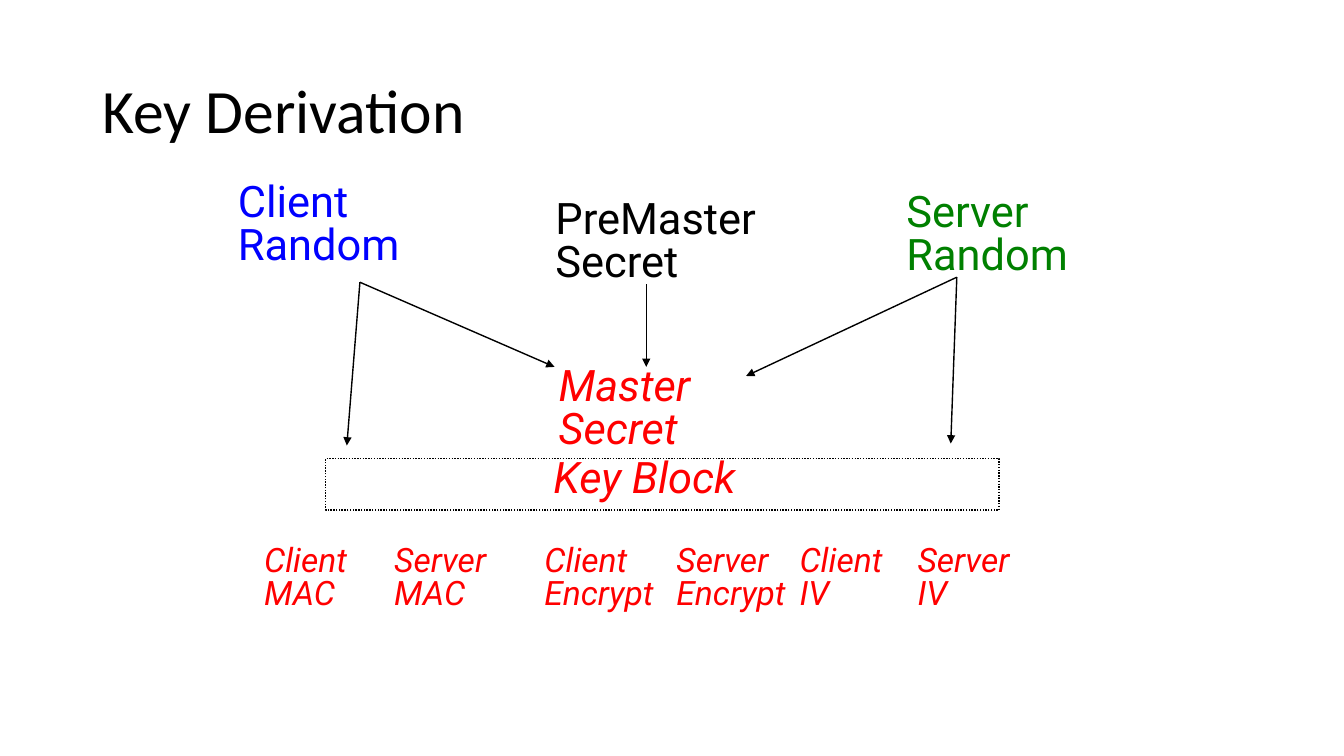
"""Build a slide showing how session keys derive from the shared secrets."""
import pptx
import pptx.dml.color
import pptx.enum.dml
import pptx.enum.shapes
import pptx.enum.text
import pptx.oxml.ns
import pptx.util
from lxml import etree

PX = 9144
COLORS = {"black": "000000", "client": "0000FF", "server": "008000", "derived": "FF0000"}

TITLE = ("Key Derivation", (92, 40, 1150, 145))
SECRETS = [
    (["PreMaster", "Secret"], (551, 198, 213, 88), "black"),
    (["Client", "Random"], (236, 181, 164, 88), "client"),
    (["Server", "Random"], (899, 191, 164, 88), "server"),
    (["Master", "Secret"], (554, 364, 145, 88), "derived"),
]
KEY_BLOCK = (323, 455, 668, 51)
KEY_BLOCK_LABEL = (["Key Block"], (323, 455, 667, 37), "derived")
KEY_BLOCK_INDENT = 226
KEYS_TOP, KEYS_HEIGHT = 541, 68
KEYS = [
    (["Client", "MAC"], 262, 96),
    (["Server", "MAC"], 391, 99),
    (["Client", "Encrypt"], 540, 114),
    (["Server", "Encrypt"], 671, 114),
    (["Client", "IV"], 793, 86),
    (["Server", "IV"], 910, 99),
]
ARROWS = {
    (641, 282): [(641, 364)],
    (357, 280): [(550, 364), (344, 442)],
    (949, 275): [(740, 373), (943, 440)],
}


def color(name):
    return pptx.dml.color.RGBColor.from_string(COLORS[name])


def scaled(lengths):
    return [length * PX for length in lengths]


def add_text(page, lines, place, size, ink, font="Roboto", spacing=0.83, indent=0):
    box = page.shapes.add_textbox(*scaled(place))
    frame = box.text_frame
    frame.word_wrap = True
    frame.margin_left = indent * PX
    frame.margin_right = frame.margin_top = frame.margin_bottom = 0
    frame.text = "\n".join(lines)
    for para in frame.paragraphs:
        para.line_spacing = spacing
        para.font.name = font
        para.font.size = pptx.util.Pt(size)
        para.font.italic = ink == "derived"
        para.font.color.rgb = color(ink)
    return frame


def add_arrow(page, start, end):
    arrow = page.shapes.add_connector(
        pptx.enum.shapes.MSO_CONNECTOR.STRAIGHT, *scaled(start + end))
    arrow.line.color.rgb = color("black")
    arrow.line.width = pptx.util.Pt(1)
    etree.SubElement(arrow.line._get_or_add_ln(),
                     pptx.oxml.ns.qn("a:tailEnd"), type="triangle")
    etree.SubElement(arrow._element.spPr, pptx.oxml.ns.qn("a:effectLst"))


def add_key_block(page):
    block = page.shapes.add_shape(
        pptx.enum.shapes.MSO_SHAPE.RECTANGLE, *scaled(KEY_BLOCK))
    block.shadow.inherit = False
    block.fill.background()
    block.line.color.rgb = color("black")
    block.line.width = pptx.util.Pt(1)
    block.line.dash_style = pptx.enum.dml.MSO_LINE.ROUND_DOT
    add_text(page, *KEY_BLOCK_LABEL[:2], 31, KEY_BLOCK_LABEL[2], indent=KEY_BLOCK_INDENT)


def main():
    deck = pptx.Presentation()
    deck.slide_width, deck.slide_height = scaled((1333, 750))
    page = deck.slides.add_slide(deck.slide_layouts[6])

    heading, place = TITLE
    frame = add_text(page, [heading], place, 44, "black", "Calibri", 0.9, indent=10)
    frame.vertical_anchor = pptx.enum.text.MSO_ANCHOR.MIDDLE

    for lines, place, ink in SECRETS:
        add_text(page, lines, place, 31, ink)
    add_key_block(page)
    for start, ends in ARROWS.items():
        for end in ends:
            add_arrow(page, start, end)
    for lines, left, width in KEYS:
        add_text(page, lines, (left, KEYS_TOP, width, KEYS_HEIGHT), 24, "derived")

    deck.save("out.pptx")


if __name__ == "__main__":
    main()
